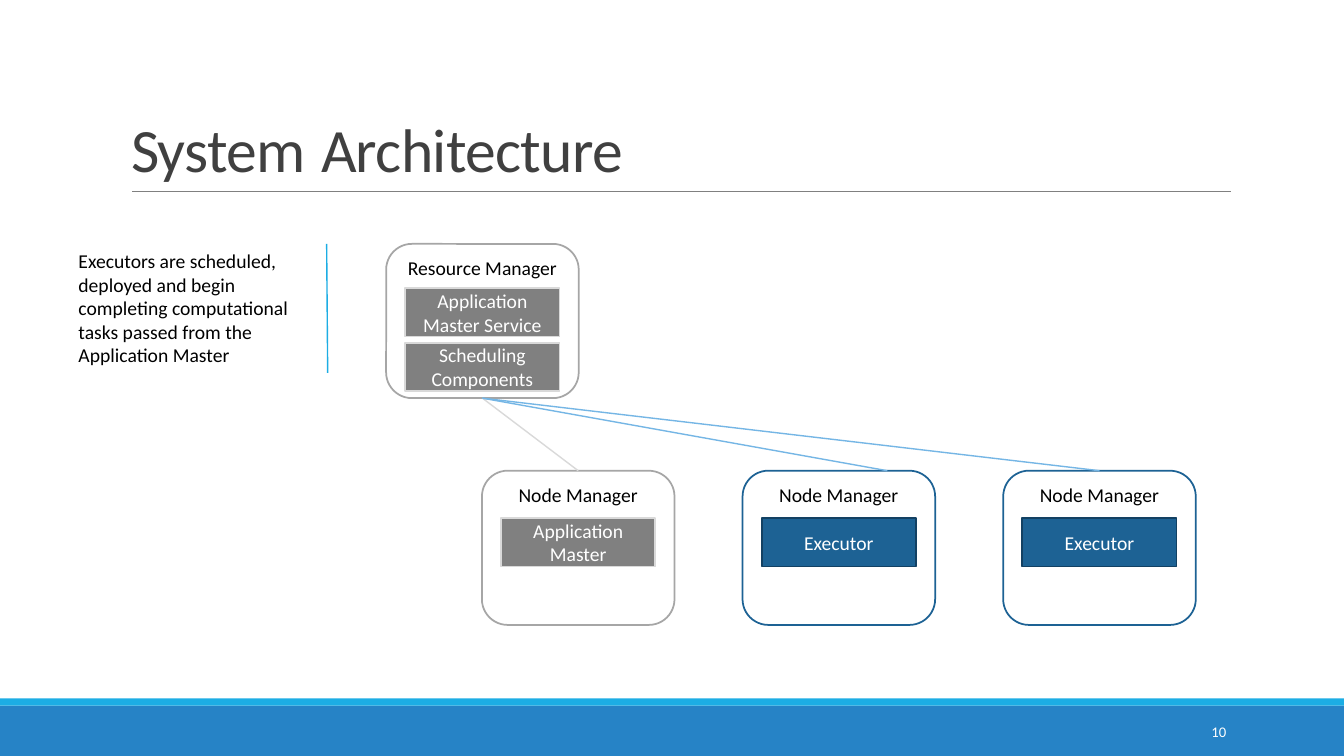
from dataclasses import dataclass

from lxml import etree
from pptx import Presentation
from pptx import util as u
from pptx.dml import color
from pptx.enum import shapes, text
from pptx.oxml import ns

Inches = u.Inches


@dataclass(frozen=True)
class Theme:
    font: str = "Calibri"
    black: str = "000000"
    white: str = "FFFFFF"
    title: str = "404040"
    band: str = "2683C6"
    accent: str = "1CADE4"
    rule: str = "808080"
    gray: str = "808080"
    gray_outline: str = "A6A6A6"
    light_gray: str = "D9D9D9"
    blue: str = "1D6294"
    dark_blue: str = "134163"
    light_blue: str = "75B6E5"
    title_size: float = 44
    title_gap_size: float = 48
    body_size: float = 14
    number_size: float = 10.5


THEME = Theme()
MANAGER_WIDTH, MANAGER_HEIGHT = 1.91, 1.53
PART_WIDTH, PART_HEIGHT = 1.53, 0.48
PART_INSET = (MANAGER_WIDTH - PART_WIDTH) / 2
NODE_TOP, NODE_LEFT, NODE_STEP = 4.67, 4.78, 2.585


def rgb(value):
    return color.RGBColor.from_string(value)


def format_font(font, size, value):
    font.name = THEME.font
    font.size = u.Pt(size)
    font.color.rgb = rgb(value)


def write_text(shape, words, size, value, align, anchor):
    frame = shape.text_frame
    frame.word_wrap = True
    frame.vertical_anchor = anchor
    frame.text = words
    paragraph = frame.paragraphs[0]
    paragraph.alignment = align
    format_font(paragraph.runs[0].font, size, value)


def add_box(slide, kind, left, top, width, height, fill=None, line=None):
    shape = slide.shapes.add_shape(
        kind, Inches(left), Inches(top), Inches(width), Inches(height))
    shape.shadow.inherit = False
    if fill:
        shape.fill.solid()
        shape.fill.fore_color.rgb = rgb(fill)
    else:
        shape.fill.background()
    if line:
        shape.line.color.rgb = rgb(line)
        shape.line.width = u.Pt(1.25)
    else:
        shape.line.fill.background()
    return shape


def add_manager(slide, label, left, top, line):
    shape = add_box(slide, shapes.MSO_SHAPE.ROUNDED_RECTANGLE, left, top,
                    MANAGER_WIDTH, MANAGER_HEIGHT, line=line)
    write_text(shape, label, THEME.body_size, THEME.black,
               text.PP_ALIGN.CENTER, text.MSO_ANCHOR.TOP)
    return shape


def add_part(slide, label, left, top, fill, line):
    shape = add_box(slide, shapes.MSO_SHAPE.RECTANGLE, left, top,
                    PART_WIDTH, PART_HEIGHT, fill, line)
    write_text(shape, label, THEME.body_size, THEME.white,
               text.PP_ALIGN.CENTER, text.MSO_ANCHOR.MIDDLE)


def add_line(slide, start, end, value, width=1.0):
    points = [Inches(number) for number in (*start, *end)]
    line = slide.shapes.add_connector(shapes.MSO_CONNECTOR.STRAIGHT, *points)
    line.line.color.rgb = rgb(value)
    line.line.width = u.Pt(width)
    etree.SubElement(line._element.spPr, ns.qn("a:effectLst"))
    return line


def add_text(slide, words, left, top, width, height, size, value, align, anchor):
    box = slide.shapes.add_textbox(
        Inches(left), Inches(top), Inches(width), Inches(height))
    write_text(box, words, size, value, align, anchor)


def set_title(slide):
    title = slide.shapes.title
    title.left, title.top = Inches(1.2), Inches(0.31)
    title.width, title.height = Inches(11), Inches(1.59)
    frame = title.text_frame
    frame.word_wrap = True
    frame.auto_size = text.MSO_AUTO_SIZE.NONE
    frame.vertical_anchor = text.MSO_ANCHOR.BOTTOM
    paragraph = frame.paragraphs[0]
    paragraph.alignment = text.PP_ALIGN.LEFT
    paragraph.line_spacing = 0.85
    for words, size in (("System", THEME.title_size),
                        (" ", THEME.title_gap_size),
                        ("Architecture", THEME.title_size)):
        run = paragraph.add_run()
        run.text = words
        format_font(run.font, size, THEME.title)
        run.font._element.set("spc", "-50")


def main():
    presentation = Presentation()
    presentation.slide_width = Inches(13.33)
    presentation.slide_height = Inches(7.5)
    slide = presentation.slides.add_slide(presentation.slide_layouts[5])

    # Footer bands, title and rule
    rectangle = shapes.MSO_SHAPE.RECTANGLE
    add_box(slide, rectangle, 0, 7, 13.33, 0.5, THEME.band)
    add_box(slide, rectangle, 0, 6.93, 13.33, 0.07, THEME.accent)
    set_title(slide)
    add_line(slide, (1.31, 1.9), (12.21, 1.9), THEME.rule, 0.5)

    # Explanation with its divider
    add_text(slide, "Executors are scheduled, deployed and begin completing "
             "computational tasks passed from the Application Master",
             0.68, 2.42, 2.57, 1.28, THEME.body_size, THEME.black,
             text.PP_ALIGN.LEFT, text.MSO_ANCHOR.TOP)
    add_line(slide, (3.24, 2.42), (3.25, 3.7), THEME.accent)

    # Resource manager
    left, top = 3.83, 2.42
    resource_manager = add_manager(
        slide, "Resource Manager", left, top, THEME.gray_outline)
    for label, part_top in (("Application Master Service", 2.86),
                            ("Scheduling Components", 3.4)):
        add_part(slide, label, left + PART_INSET, part_top,
                 THEME.gray, THEME.light_gray)
    hub = (left + MANAGER_WIDTH / 2, top + MANAGER_HEIGHT)

    # Node managers: part, outline, part fill, part line, link colour, link end
    master = (THEME.gray_outline, THEME.gray, THEME.light_gray, THEME.light_gray)
    executor = (THEME.blue, THEME.blue, THEME.dark_blue, THEME.light_blue)
    nodes = (("Application Master", master, None),
             ("Executor", executor, 8.8),
             ("Executor", executor, None))
    for index, (label, colours, link_end) in enumerate(nodes):
        outline, fill, part_line, link_colour = colours
        left = NODE_LEFT + index * NODE_STEP
        node = add_manager(slide, "Node Manager", left, NODE_TOP, outline)
        add_part(slide, label, left + PART_INSET, NODE_TOP + 0.47, fill, part_line)
        end = (link_end or left + MANAGER_WIDTH / 2, NODE_TOP)
        link = add_line(slide, hub, end, link_colour)
        link.begin_connect(resource_manager, 2)
        if link_end is None:
            link.end_connect(node, 0)

    # Slide number
    add_text(slide, "10", 10.83, 7.06, 1.43, 0.4, THEME.number_size, THEME.white,
             text.PP_ALIGN.RIGHT, text.MSO_ANCHOR.MIDDLE)

    presentation.save("out.pptx")


if __name__ == "__main__":
    main()
